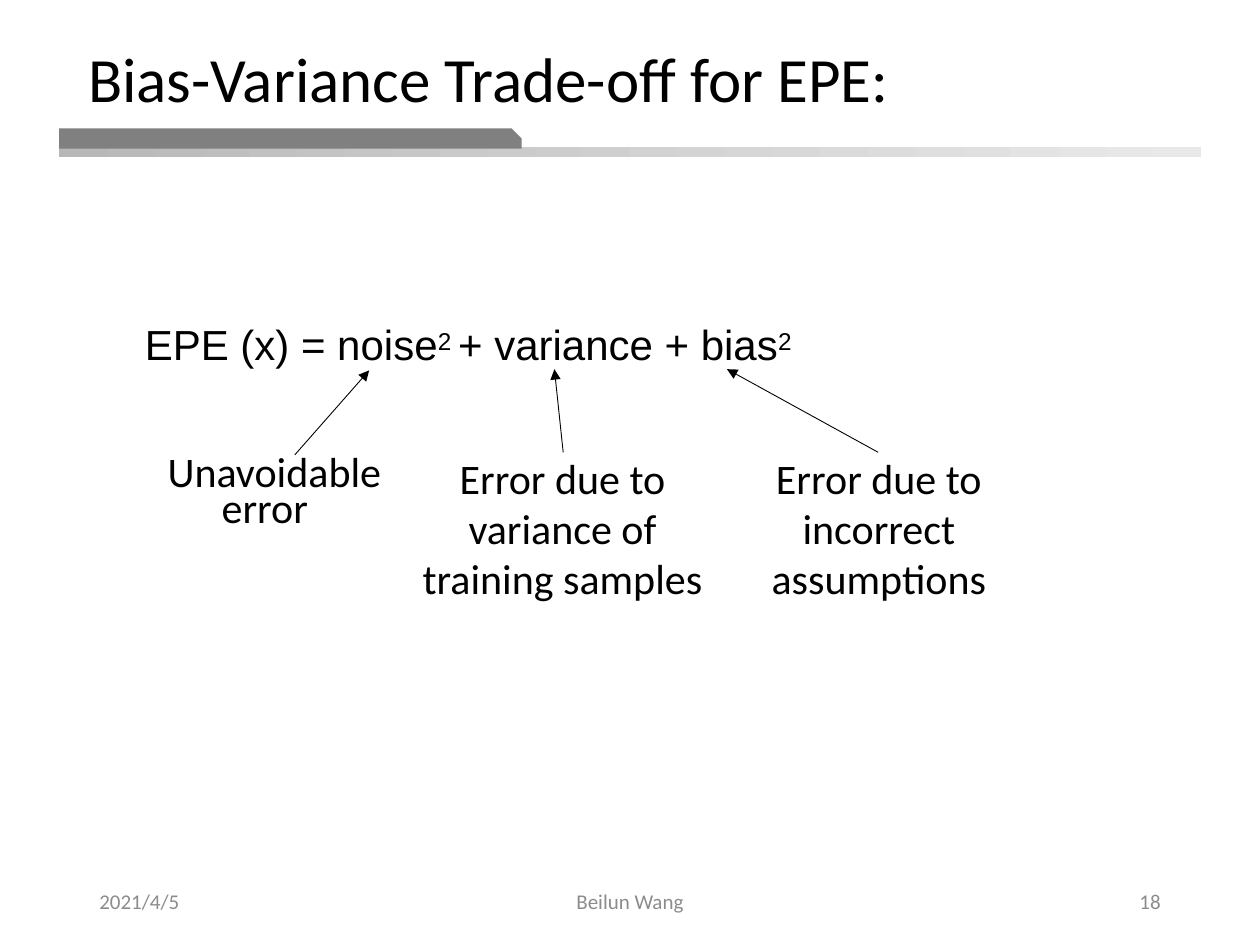
from lxml.etree import SubElement
from pptx import Presentation
from pptx.dml.color import RGBColor
from pptx.enum.shapes import MSO_CONNECTOR, MSO_SHAPE
from pptx.enum.text import MSO_ANCHOR, PP_ALIGN
from pptx.oxml.ns import qn
from pptx.util import Inches, Pt

BLACK = "000000"
GRAY = "8C8C8C"


def color(hex_string):
    return RGBColor.from_string(hex_string)


def add_bar(slide, kind, left, top, width, height):
    shape = slide.shapes.add_shape(
        kind, Inches(left), Inches(top), Inches(width), Inches(height))
    shape.shadow.inherit = False
    shape.line.fill.background()
    return shape


def add_text(slide, box, text, size=24, font="Calibri", fill=BLACK,
             align=PP_ALIGN.LEFT, anchor=MSO_ANCHOR.TOP, side=0, top=0):
    """Add a one-paragraph text box and return the paragraph."""
    shape = slide.shapes.add_textbox(*[Inches(value) for value in box])
    frame = shape.text_frame
    frame.word_wrap = True
    frame.vertical_anchor = anchor
    frame.margin_left = frame.margin_right = Inches(side)
    frame.margin_top, frame.margin_bottom = Inches(top), 0
    paragraph = frame.paragraphs[0]
    paragraph.text = text
    paragraph.alignment = align
    paragraph.font.size = Pt(size)
    paragraph.font.name = font
    paragraph.font.color.rgb = color(fill)
    return paragraph


def add_formula(slide, box, parts):
    """Add the formula; every second part is a superscript."""
    paragraph = add_text(slide, box, "", font="Arial", top=0.01)
    paragraph.space_before = Pt(1)
    for index, part in enumerate(parts):
        run = paragraph.add_run()
        run.text = part
        if index % 2:
            run.font._element.set("baseline", "24000")


def add_arrow(slide, start, end):
    connector = slide.shapes.add_connector(
        MSO_CONNECTOR.STRAIGHT, *[Inches(value) for value in start + end])
    connector.line.color.rgb = color(BLACK)
    connector.line.width = Pt(0.5)
    SubElement(connector.line._get_or_add_ln(), qn("a:tailEnd"), type="triangle")
    SubElement(connector._element.spPr, qn("a:effectLst"))


def add_header(slide):
    # Fading rule with a solid tab above it
    rule = add_bar(slide, MSO_SHAPE.RECTANGLE, 0.47, 1.17, 9.06, 0.08)
    rule.fill.gradient()
    rule.fill.gradient_angle = 0
    for stop, (position, shade) in zip(
            rule.fill.gradient_stops, [(0, "B8B8B8"), (1, "E9E9E9")]):
        stop.position = position
        stop.color.rgb = color(shade)
    tab = add_bar(slide, MSO_SHAPE.SNIP_1_RECTANGLE, 0.47, 1.02, 3.67, 0.16)
    tab.adjustments[0] = 0.5
    tab.fill.solid()
    tab.fill.fore_color.rgb = color("808080")

    title = add_text(slide, (0.6, 0.33, 8.38, 0.64),
                     "Bias-Variance Trade-off for EPE:", size=36,
                     anchor=MSO_ANCHOR.MIDDLE, side=0.1)
    title.line_spacing = 0.9


def add_footer(slide):
    for left, width, text, align in [
            (0.69, 2.25, "2021/4/5", PP_ALIGN.LEFT),
            (3.31, 3.38, "Beilun Wang", PP_ALIGN.CENTER),
            (7.06, 2.25, "18", PP_ALIGN.RIGHT)]:
        add_text(slide, (left, 6.95, width, 0.4), text, size=12, fill=GRAY,
                 align=align, anchor=MSO_ANCHOR.MIDDLE, side=0.1)


def add_labels(slide):
    # Noise label: second line is indented under the first
    noise = add_text(slide, (1.32, 3.61, 2.03, 0.63),
                     "Unavoidable error", top=0.03)
    noise.line_spacing = Pt(21.1)
    noise.space_before = Pt(2.1)
    properties = noise._p.get_or_add_pPr()
    properties.set("marL", str(Inches(0.44)))
    properties.set("indent", str(Inches(-0.43)))

    # Variance and bias labels
    for left, width, text in [
            (3.28, 2.37, "Error due to variance of training samples"),
            (5.77, 2.41, "Error due to incorrect assumptions")]:
        label = add_text(slide, (left, 3.59, width, 1.21), text,
                         align=PP_ALIGN.CENTER, top=0.02)
        label.line_spacing = 0.99
        label.space_before = Pt(1.1)


def main():
    presentation = Presentation()
    presentation.slide_width = Inches(10)
    presentation.slide_height = Inches(7.5)
    slide = presentation.slides.add_slide(presentation.slide_layouts[6])

    add_header(slide)
    add_footer(slide)
    add_formula(slide, (1.15, 2.52, 6.3, 0.42),
                ["EPE (x) = noise", "2 ", "+ variance + bias", "2"])
    add_labels(slide)

    # Arrows from each label to its term
    for start, end in [((2.34, 3.61), (2.93, 2.94)),
                       ((4.47, 3.59), (4.4, 2.93)),
                       ((6.97, 3.59), (5.77, 2.93))]:
        add_arrow(slide, start, end)

    presentation.save("out.pptx")


if __name__ == "__main__":
    main()
